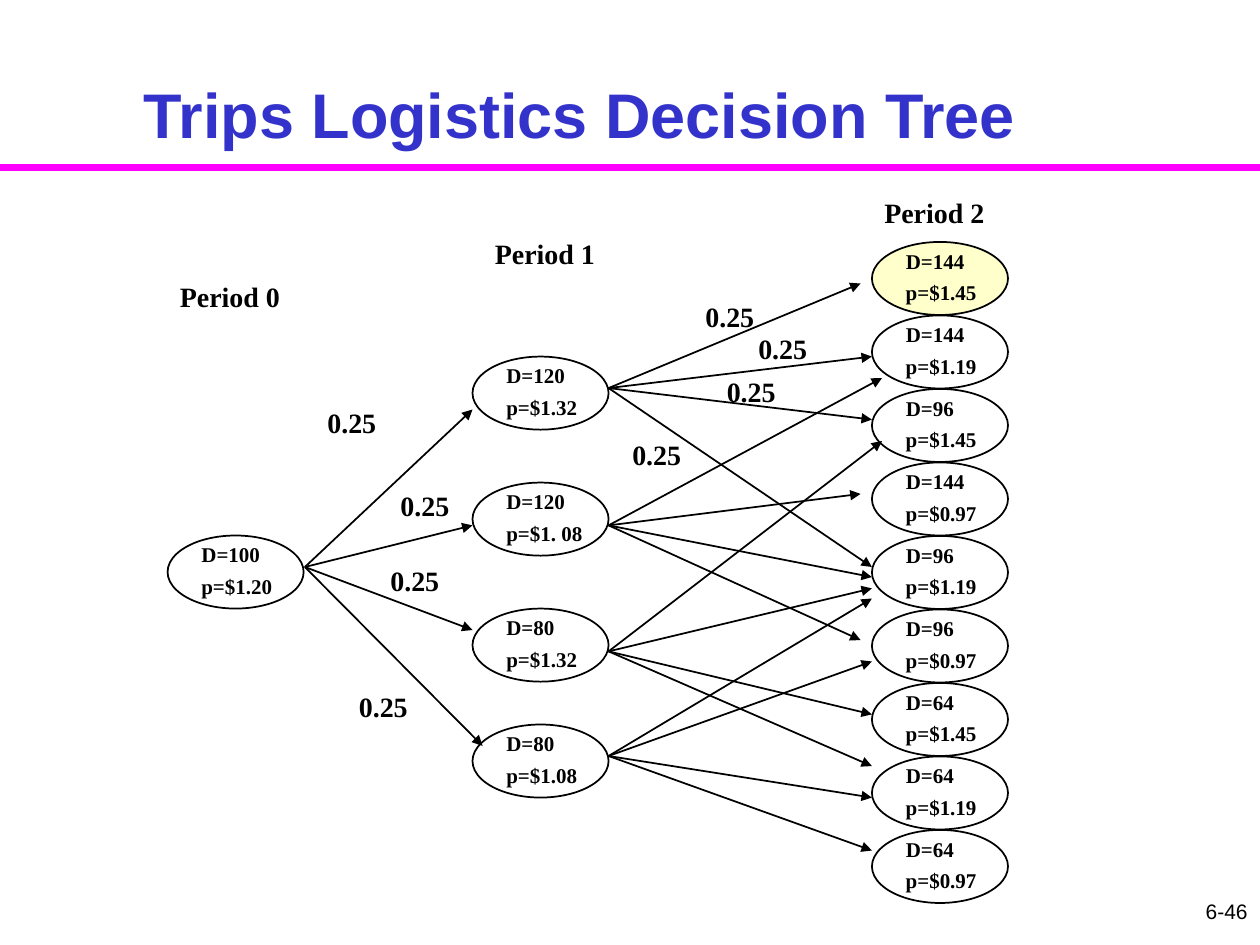
from lxml import etree
from pptx import Presentation
from pptx import util as u
from pptx.dml.color import RGBColor
from pptx.enum import shapes, text
from pptx.oxml import ns

INK = {"black": "000000", "blue": "3333CC", "pink": "FF00FF", "cream": "FFFFCC"}
SERIF = "Times New Roman"
WIDE, HIGH = 1.08, 0.58
STEP = 7 / 12

ROOT = (1.33, 4.25, "D=100", "p=$1.20")
MIDS = [
    (2.83, "D=120", "p=$1.32"),
    (3.83, "D=120", "p=$1. 08"),
    (4.83, "D=80", "p=$1.32"),
    (5.75, "D=80", "p=$1.08"),
]
LEAVES = [
    ("D=144", "p=$1.45"), ("D=144", "p=$1.19"), ("D=96", "p=$1.45"),
    ("D=144", "p=$0.97"), ("D=96", "p=$1.19"), ("D=96", "p=$0.97"),
    ("D=64", "p=$1.45"), ("D=64", "p=$1.19"), ("D=64", "p=$0.97"),
]
FANS = [
    ((2.42, 4.5), [(3.75, 3.25), (3.75, 4.17), (3.75, 5), (3.83, 5.92)]),
    ((4.83, 3.08), [(6.83, 2.25), (6.92, 2.83), (6.92, 3.33), (6.92, 4.5)]),
    ((4.83, 4.17), [(7, 3), (6.83, 3.92), (6.92, 4.58), (6.83, 5.08)]),
    ((4.83, 5.17), [(7, 3.5), (6.92, 4.67), (6.92, 5.67), (6.92, 6.08)]),
    ((4.83, 6), [(6.92, 4.75), (6.92, 5.25), (6.92, 6.33), (6.92, 6.75)]),
]
ODDS = [
    (2.5, 3.17), (3.08, 3.83), (3, 4.42), (2.75, 5.42),
    (5.92, 2.58), (5.5, 2.33), (5.67, 2.92), (4.92, 3.42),
]
HEADS = [(1.33, 2.17), (3.83, 1.83), (6.92, 1.5)]


def color(name):
    return RGBColor.from_string(INK[name])


def style(para, size, face, ink="black", bold=True):
    font = para.font
    font.size, font.name, font.bold = u.Pt(size), face, bold
    font.color.rgb = color(ink)


def label(slide, box, words, size, wrap=True):
    frame = slide.shapes.add_textbox(*map(u.Inches, box)).text_frame
    frame.word_wrap = wrap
    frame.auto_size = text.MSO_AUTO_SIZE.SHAPE_TO_FIT_TEXT
    para = frame.paragraphs[0]
    para.text = words
    style(para, size, SERIF)
    return para


def node(slide, left, top, demand, price, fill=None):
    box = map(u.Inches, (left, top, WIDE, HIGH))
    oval = slide.shapes.add_shape(shapes.MSO_SHAPE.OVAL, *box)
    oval.shadow.inherit = False
    if fill:
        oval.fill.solid()
        oval.fill.fore_color.rgb = color(fill)
    else:
        oval.fill.background()
    oval.line.color.rgb = color("black")
    oval.line.width = u.Pt(1)
    label(slide, (left + 0.17, top, 0.92, 0.3), demand, 12)
    wide = 0.81 if " " in price else 0.76
    label(slide, (left + 0.17, top + 0.25, wide, 0.3), price, 12, wrap=False)


def line(slide, start, end, ink="black", width=1, arrow=True):
    ends = map(u.Inches, (*start, *end))
    link = slide.shapes.add_connector(shapes.MSO_CONNECTOR.STRAIGHT, *ends)
    link.line.color.rgb = color(ink)
    link.line.width = u.Pt(width)
    if arrow:
        stroke = link.line._get_or_add_ln()
        etree.SubElement(stroke, ns.qn("a:tailEnd"), type="triangle")
    etree.SubElement(link._element.spPr, ns.qn("a:effectLst"))


def title(slide, words):
    shape = slide.shapes.title
    shape.left, shape.top = u.Inches(0.42), u.Inches(0.29)
    shape.width, shape.height = u.Inches(8.5), u.Inches(0.96)
    frame = shape.text_frame
    frame.word_wrap = True
    frame.auto_size = text.MSO_AUTO_SIZE.NONE
    frame.vertical_anchor = text.MSO_ANCHOR.BOTTOM
    para = frame.paragraphs[0]
    para.text = words
    para.alignment = text.PP_ALIGN.CENTER
    style(para, 36, "Arial", "blue")


def number(slide, words):
    para = label(slide, (7.92, 7.08, 2.08, 0.42), words, 12)
    para.alignment = text.PP_ALIGN.RIGHT
    style(para, 12, "Arial", bold=False)


def main():
    deck = Presentation()
    deck.slide_width, deck.slide_height = u.Inches(10), u.Inches(7.5)
    slide = deck.slides.add_slide(deck.slide_layouts[5])
    line(slide, (0, 1.33), (10, 1.33), "pink", 4, arrow=False)
    number(slide, "6-46")
    title(slide, "Trips Logistics Decision Tree ")
    for row, leaf in enumerate(LEAVES):
        fill = None if row else "cream"
        node(slide, 6.92, 1.92 + row * STEP, *leaf, fill=fill)
    for mid in MIDS:
        node(slide, 3.75, *mid)
    node(slide, *ROOT)
    for start, ends in FANS:
        for end in ends:
            line(slide, start, end)
    for spot in ODDS:
        label(slide, (*spot, 0.67, 0.37), "0.25", 16)
    for time, spot in enumerate(HEADS):
        label(slide, (*spot, 1, 0.37), f"Period {time}", 16)
    deck.save("out.pptx")


if __name__ == "__main__":
    main()
